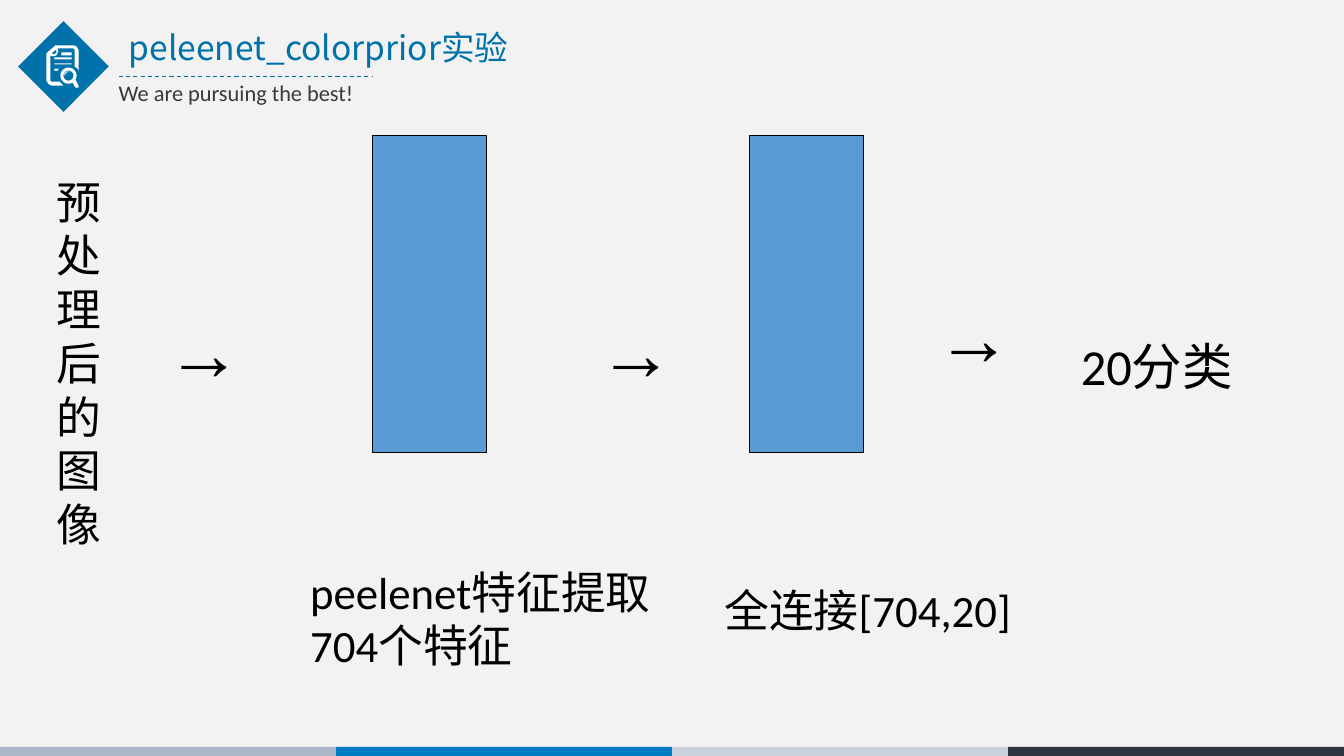
import math

from pptx import Presentation
from pptx import util as u
from pptx.dml.color import RGBColor
from pptx.enum import dml, shapes, text
from pptx.oxml.ns import qn

# Content
SLIDE_W, SLIDE_H = 13.34, 7.5
THEME = {
    "bg": "F2F2F2", "accent": "0072A9", "ink": "000000", "subtle": "3B3838",
    "block": "5B9BD5", "icon": "FFFFFF",
    "bands": ["ADB6C7", "007BC6", "CBD1DB", "2C3441"],
    "body": "Calibri", "heading": "Noto Sans CJK SC", "symbol": "Arial",
    "title_pt": 24, "tag_pt": 16, "label_pt": 32, "result_pt": 36, "arrow_pt": 54,
    "line_pt": 0.75,
}
TITLE = ("peleenet_colorprior实验", (1.18, 0.26, 4.47, 0.5))
TAGLINE = ("We are pursuing the best!", (1.08, 0.74, 3.37, 0.37))
LABELS = [
    ("预处理后的图像", (0.46, 1.68, 0.72, 3.84), "label_pt"),
    ("peelenet特征提取704个特征", (2.98, 5.55, 3.65, 1.17), "label_pt"),
    ("全连接[704,20]", (7.09, 5.73, 3.09, 1.17), "label_pt"),
    ("20分类", (10.63, 3.28, 2.26, 0.7), "result_pt"),
]
ARROWS = [(1.55, 2.98, 1.84, 1), (5.84, 2.98, 1.9, 1), (9.2, 2.83, 1.76, 1)]
BLOCK_LEFTS = [3.7, 7.44]
BLOCK_TOP, BLOCK_W, BLOCK_H = 1.34, 1.13, 3.15
BAND_TOP, BAND_H = 7.41, 0.12

# Header icon: a sheet of paper with a magnifier
SHEET = [(0.55, 0.45), (0.73, 0.45), (0.76, 0.46), (0.78, 0.5), (0.78, 0.7),
         (0.77, 0.68), (0.74, 0.66), (0.74, 0.49), (0.73, 0.48), (0.57, 0.48),
         (0.58, 0.51), (0.56, 0.55), (0.53, 0.56), (0.5, 0.55), (0.5, 0.8),
         (0.51, 0.81), (0.59, 0.81), (0.63, 0.85), (0.51, 0.85), (0.48, 0.83),
         (0.46, 0.8), (0.46, 0.53)]
FOLD = [(0.56, 0.49), (0.51, 0.53), (0.54, 0.54), (0.56, 0.52)]
TEXT_LINES = [(0.61, 0.52, 0.71, 0.55), (0.54, 0.57, 0.71, 0.59),
              (0.54, 0.63, 0.71, 0.64), (0.54, 0.68, 0.58, 0.7)]
HANDLE = [(0.78, 0.85), (0.78, 0.87), (0.75, 0.87)]
GLINT = [(0.64, 0.75), (0.66, 0.72), (0.7, 0.71), (0.66, 0.71), (0.64, 0.73)]
LENS = (0.68, 0.75)


def rgb(name):
    return RGBColor.from_string(THEME.get(name, name))


def inches(values):
    return [u.Inches(v) for v in values]


def arc(radius, start, end):
    cx, cy = LENS
    angles = [math.radians(a) for a in range(start, end + 1, 10)]
    return [(cx + radius * math.cos(a), cy + radius * math.sin(a)) for a in angles]


def paint(sp, fill, line=None):
    sp.shadow.inherit = False
    sp.fill.solid()
    sp.fill.fore_color.rgb = rgb(fill)
    if line:
        sp.line.color.rgb = rgb(line)
        sp.line.width = u.Pt(THEME["line_pt"])
    else:
        sp.line.fill.background()


def add_block(parent, kind, box, fill, line=None):
    paint(parent.add_shape(kind, *inches(box)), fill, line)


def add_text(parent, content, box, size, font="body", color="ink", spacing=1.0):
    tf = parent.add_textbox(*inches(box)).text_frame
    frame = {"word_wrap": True, "auto_size": text.MSO_AUTO_SIZE.NONE,
             "vertical_anchor": text.MSO_ANCHOR.TOP}
    for key, value in frame.items():
        setattr(tf, key, value)
    p = tf.paragraphs[0]
    p.line_spacing = spacing
    r = p.add_run()
    r.text = content
    for key, value in {"name": THEME[font], "size": u.Pt(THEME[size])}.items():
        setattr(r.font, key, value)
    r.font.color.rgb = rgb(color)
    # East Asian glyphs follow the same typeface
    ea = r._r.get_or_add_rPr().makeelement(qn("a:ea"), {"typeface": THEME[font]})
    r._r.rPr.append(ea)


def add_icon(parent):
    bars = [[(l, t), (l, b), (r, b), (r, t)] for l, t, r, b in TEXT_LINES]
    contours = [SHEET, FOLD, *bars, arc(0.08, 60, 390) + HANDLE, arc(0.05, 0, 350), GLINT]
    builder = None
    for contour in contours:
        pts = [(round(x * 1000), round(y * 1000)) for x, y in contour]
        if builder is None:
            builder = parent.build_freeform(*pts[0], scale=u.Inches(1) / 1000)
        else:
            builder.move_to(*pts[0])
        builder.add_line_segments(pts[1:], close=True)
    paint(builder.convert_to_shape(), "icon")


def main():
    prs = Presentation()
    prs.slide_width, prs.slide_height = inches((SLIDE_W, SLIDE_H))
    s = prs.slides.add_slide(prs.slide_layouts[6])
    s.background.fill.solid()
    s.background.fill.fore_color.rgb = rgb("bg")
    rect = shapes.MSO_SHAPE.RECTANGLE

    # Footer bands
    footer = s.shapes.add_group_shape().shapes
    band_w = SLIDE_W / len(THEME["bands"])
    for i, color in enumerate(THEME["bands"]):
        add_block(footer, rect, (i * band_w, BAND_TOP, band_w, BAND_H), color)

    # Header
    header = s.shapes.add_group_shape().shapes
    add_block(header, shapes.MSO_SHAPE.DIAMOND, (0.18, 0.21, 0.9, 0.9), "accent")
    add_text(header, *TITLE, "title_pt", "heading", "accent", 0.9)
    rule = header.add_connector(shapes.MSO_CONNECTOR.STRAIGHT,
                                *inches((1.18, 0.76, 3.7, 0.76)))
    rule.line.color.rgb = rgb("accent")
    rule.line.width = u.Pt(THEME["line_pt"])
    rule.line.dash_style = dml.MSO_LINE.DASH
    sp_pr = rule._element.spPr
    sp_pr.append(sp_pr.makeelement(qn("a:effectLst"), {}))
    add_text(header, *TAGLINE, "tag_pt", color="subtle")
    add_icon(header)

    # Network blocks, labels and arrows
    for left in BLOCK_LEFTS:
        add_block(s.shapes, rect, (left, BLOCK_TOP, BLOCK_W, BLOCK_H), "block", "ink")
    for content, box, size in LABELS:
        add_text(s.shapes, content, box, size)
    for box in ARROWS:
        add_text(s.shapes, "→", box, "arrow_pt", "symbol")

    prs.save("out.pptx")


if __name__ == "__main__":
    main()
